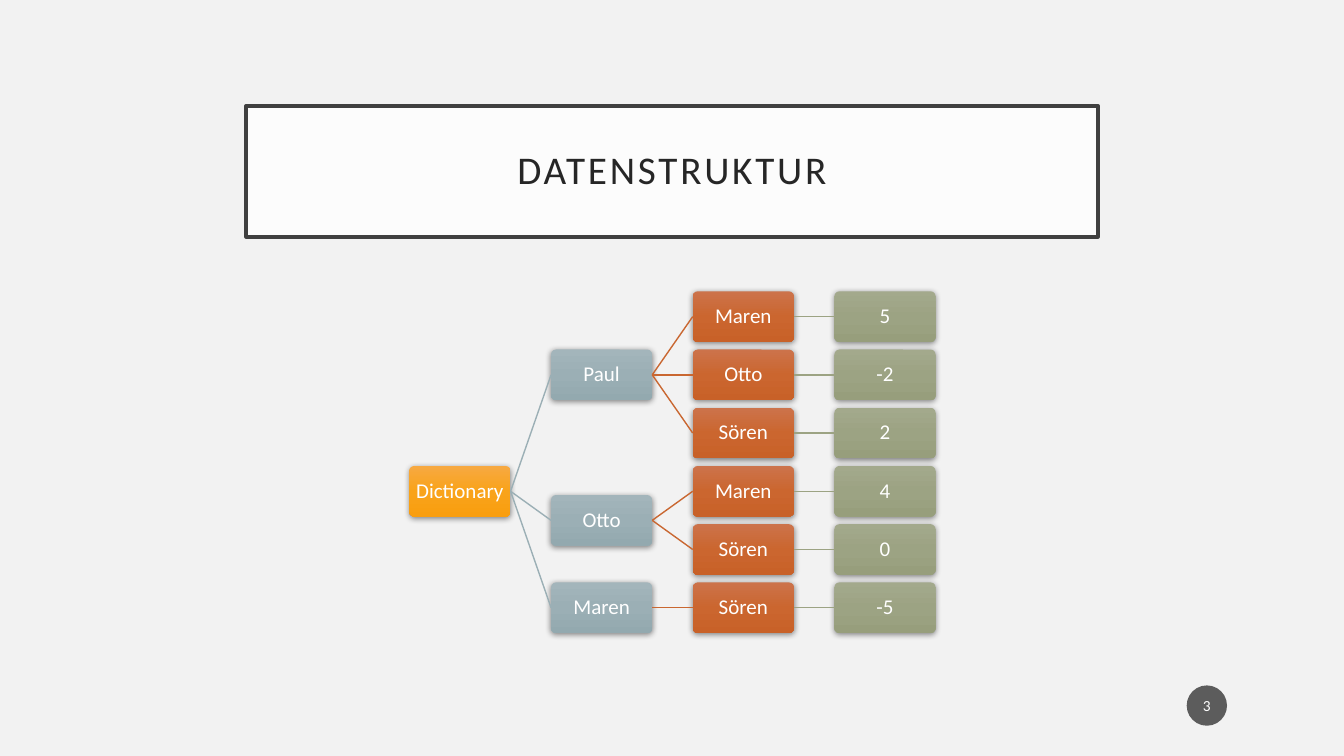
from copy import deepcopy

from lxml import etree
from pptx import Presentation
from pptx.dml.color import RGBColor
from pptx.enum.shapes import MSO_CONNECTOR, MSO_SHAPE
from pptx.enum.text import MSO_ANCHOR, PP_ALIGN
from pptx.oxml.ns import qn
from pptx.util import Inches, Pt

RECT, ROUNDED, OVAL = MSO_SHAPE.RECTANGLE, MSO_SHAPE.ROUNDED_RECTANGLE, MSO_SHAPE.OVAL
STRAIGHT, CENTER, MIDDLE = MSO_CONNECTOR.STRAIGHT, PP_ALIGN.CENTER, MSO_ANCHOR.MIDDLE
LEFT_SITE, RIGHT_SITE = 1, 3
FONT = "Calibri"

# Gradient stops for each level of the tree, top to bottom
LEVEL_COLORS = [
    ("F7A942", "F9A31A", "F99E0F"),
    ("A3B5BB", "9BAFB5", "93A9AF"),
    ("CC734B", "CB662F", "C86128"),
    ("A3A98C", "9CA383", "979E7C"),
]
LINE_COLORS = [None, "9BAFB5", "C96731", "9CA383"]

# Each node is (label, children)
DATA_TREE = ("Dictionary", [
    ("Paul", [("Maren", [("5", [])]), ("Otto", [("-2", [])]), ("Sören", [("2", [])])]),
    ("Otto", [("Maren", [("4", [])]), ("Sören", [("0", [])])]),
    ("Maren", [("Sören", [("-5", [])])]),
])


def color(hex_code):
    """Turn a hex string into a colour."""
    return RGBColor.from_string(hex_code)


def add_child(parent, tag, **attributes):
    """Append a DrawingML element with the given attributes."""
    values = {key: str(value) for key, value in attributes.items()}
    return etree.SubElement(parent, qn(tag), values)


def add_box(slide, kind, box, hex_code=None, opacity=100):
    """Add a borderless shape, with a solid fill if a colour is given."""
    shape = slide.shapes.add_shape(kind, *[Inches(length) for length in box])
    shape.shadow.inherit = False
    shape.line.fill.background()
    if hex_code:
        shape.fill.solid()
        shape.fill.fore_color.rgb = color(hex_code)
        solid = shape._element.spPr.find(qn("a:solidFill"))
        add_child(solid[0], "a:alpha", val=opacity * 1000)
    return shape


def write(shape, text, size, hex_code="FFFFFF", inset=0.02, line_spacing=1.0, tracking=0):
    """Put centred, formatted text into a shape."""
    frame = shape.text_frame
    frame.word_wrap = True
    frame.vertical_anchor = MIDDLE
    frame.margin_left = frame.margin_right = Inches(inset)
    frame.margin_top = frame.margin_bottom = Inches(inset)
    paragraph = frame.paragraphs[0]
    paragraph.alignment = CENTER
    paragraph.line_spacing = line_spacing
    run = paragraph.add_run()
    run.text = text
    run.font.name, run.font.size = FONT, Pt(size)
    run.font.color.rgb = color(hex_code)
    if tracking:
        run._r.get_or_add_rPr().set("spc", str(tracking * 100))


def shade(shape, hex_codes):
    """Give a shape a three-stop downward gradient and a soft shadow."""
    fill = shape.fill
    fill.gradient()
    fill.gradient_angle = 270
    stop_list = shape._element.spPr.find(qn("a:gradFill")).find(qn("a:gsLst"))
    stop_list.insert(1, deepcopy(stop_list[0]))
    for index, (stop, hex_code) in enumerate(zip(fill.gradient_stops, hex_codes)):
        stop.position = index / 2
        stop.color.rgb = color(hex_code)
    effects = shape._element.spPr.find(qn("a:effectLst"))
    shadow = add_child(effects, "a:outerShdw", blurRad=Pt(4.4), dist=Pt(1.2),
                       dir=90 * 60000, algn="ctr", rotWithShape=0)
    black = add_child(shadow, "a:srgbClr", val="000000")
    add_child(black, "a:alpha", val=45000)


def link(slide, parent, child, hex_code):
    """Join the right side of a parent to the left side of its child."""
    line = slide.shapes.add_connector(STRAIGHT, 0, 0, 0, 0)
    line.begin_connect(parent, RIGHT_SITE)
    line.end_connect(child, LEFT_SITE)
    line.line.color.rgb = color(hex_code)
    line.line.width = Pt(1)
    add_child(line._element.spPr, "a:effectLst")


def count_leaves(node):
    """Count the rows a node takes up."""
    return sum(map(count_leaves, node[1])) or 1


def center_row(node, first_row):
    """Find a node's row: midway between its first and last child."""
    children = node[1]
    if not children:
        return first_row
    last_row = first_row + count_leaves(node) - count_leaves(children[-1])
    return (center_row(children[0], first_row) + center_row(children[-1], last_row)) / 2


def draw_tree(slide, box, root):
    """Draw the tree left to right, one row per leaf, inside the box."""
    left, top, width, height = box
    levels, rows = len(LEVEL_COLORS), count_leaves(root)
    column_gap, row_gap = 0.4, 0.15  # shares of node width and height
    node_width = width / (levels + (levels - 1) * column_gap)
    node_height = height / (rows + (rows - 1) * row_gap)

    def draw_node(node, level, first_row):
        """Draw a node, then its children and the lines to them."""
        label, children = node
        x = left + level * node_width * (1 + column_gap)
        y = top + center_row(node, first_row) * node_height * (1 + row_gap)
        shape = add_box(slide, ROUNDED, (x, y, node_width, node_height))
        shape.adjustments[0] = 0.1
        shade(shape, LEVEL_COLORS[level])
        write(shape, label, 15, line_spacing=0.9)
        for child in children:
            child_shape = draw_node(child, level + 1, first_row)
            link(slide, shape, child_shape, LINE_COLORS[level + 1])
            first_row += count_leaves(child)
        return shape

    draw_node(root, 0, 0)


def draw_title(slide, box, text):
    """Draw the framed title."""
    frame = add_box(slide, RECT, box, "FFFFFF", opacity=80)
    frame.line.color.rgb = color("404040")
    frame.line.width = Pt(2.5)
    write(frame, text, 28, "262626", inset=0.2, line_spacing=0.9, tracking=2)


def draw_page_number(slide, box, number):
    """Draw the page number in its disc."""
    write(add_box(slide, OVAL, box, "1D1D1D", opacity=70), number, 11)


def main():
    """Build and save the slide."""
    deck = Presentation()
    deck.slide_width, deck.slide_height = Inches(13.33), Inches(7.5)
    slide = deck.slides.add_slide(deck.slide_layouts[6])
    slide.background.fill.solid()
    slide.background.fill.fore_color.rgb = color("F2F2F2")
    draw_title(slide, (2.44, 1.05, 8.45, 1.3), "DATENSTRUKTUR")
    draw_tree(slide, (4.06, 2.89, 5.22, 3.39), DATA_TREE)
    draw_page_number(slide, (11.77, 6.8, 0.4, 0.4), "3")
    deck.save("out.pptx")


main()
